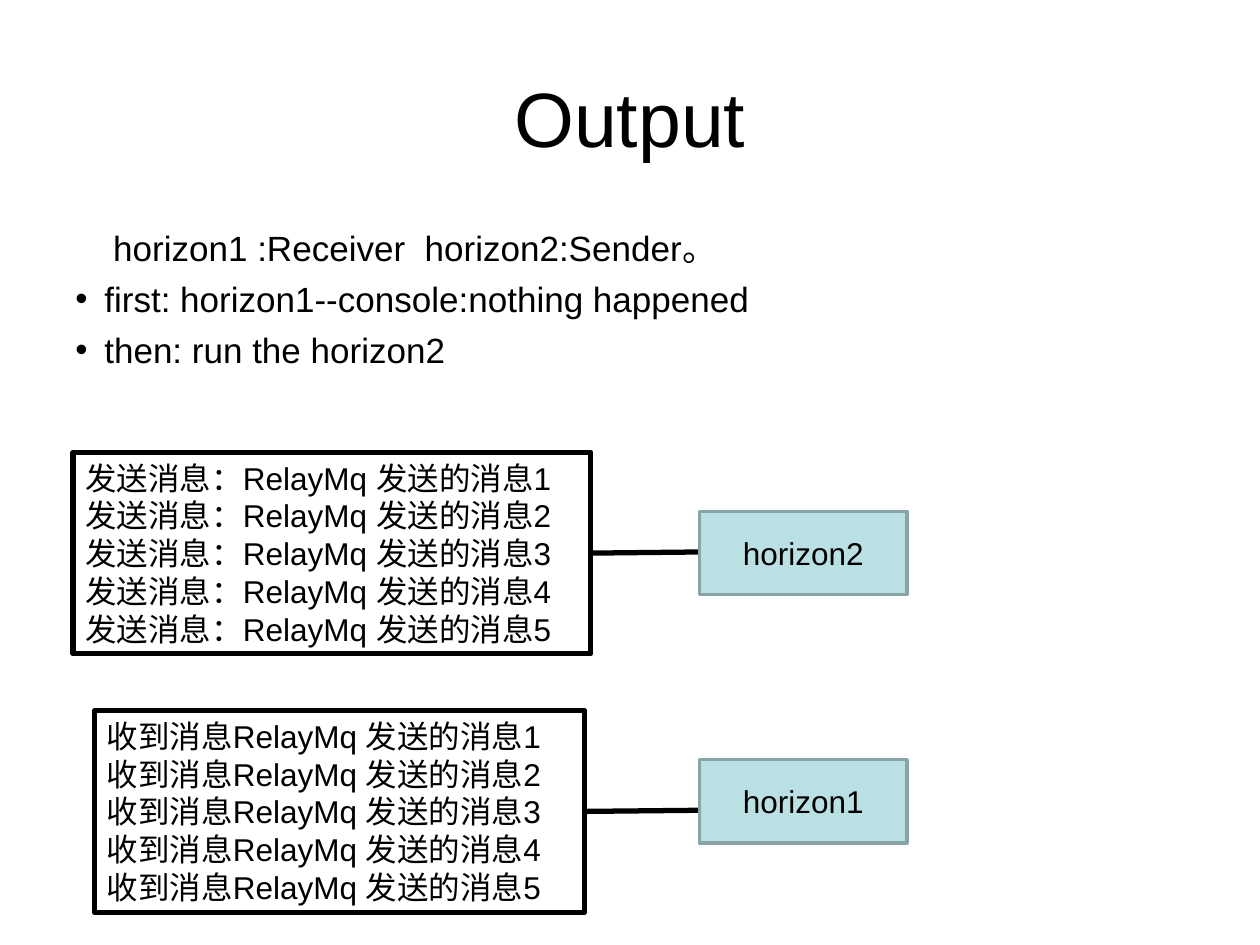
from pptx import Presentation
from pptx.dml.color import RGBColor as Rgb
from pptx.enum.shapes import MSO_CONNECTOR as Conn, MSO_SHAPE as Kind
from pptx.enum.text import MSO_ANCHOR as Anchor, PP_ALIGN as Align
from pptx.oxml.ns import qn
from pptx.util import Inches, Pt
from lxml.etree import SubElement as Sub

HUES = {"ink": "000000", "fill": "BBE0E3", "edge": "89A4A7"}


def hue(name):
    return Rgb.from_string(HUES[name])


def put(item, values):
    for key, value in values.items():
        setattr(item, key, value)


def write(frame, lines, size, align=Align.LEFT, space=0):
    for i, line in enumerate(lines):
        para = frame.paragraphs[0] if i == 0 else frame.add_paragraph()
        put(para, {"alignment": align, "space_before": Pt(space)})
        run = para.add_run()
        run.text = line
        put(run.font, {"name": "Arial", "size": Pt(size)})
        run.font.color.rgb = hue("ink")


def indent(para, left, first, mark=None):
    props = para._p.get_or_add_pPr()
    props.set("marL", str(Inches(left)))
    props.set("indent", str(Inches(first)))
    if mark:
        Sub(props, qn("a:buFont")).set("typeface", "Arial")
        Sub(props, qn("a:buChar")).set("char", mark)


def title(slide, box, text):
    frame = slide.shapes.add_textbox(*map(Inches, box)).text_frame
    put(frame, {"word_wrap": True, "vertical_anchor": Anchor.MIDDLE})
    write(frame, [text], 44, Align.CENTER)


def steps(slide, box, lead, items):
    frame = slide.shapes.add_textbox(*map(Inches, box)).text_frame
    frame.word_wrap = True
    write(frame, [lead, *items], 20, space=5)
    head, *rest = frame.paragraphs
    indent(head, 0.3, 0)
    for para in rest:
        indent(para, 0.23, -0.23, "•")


def panel(slide, box, lines, edge, width, size, fill=None,
          align=Align.LEFT, anchor=Anchor.TOP, wrap=True):
    shape = slide.shapes.add_shape(Kind.RECTANGLE, *map(Inches, box))
    shape.shadow.inherit = False
    if fill:
        shape.fill.solid()
        shape.fill.fore_color.rgb = hue(fill)
    else:
        shape.fill.background()
    shape.line.color.rgb = hue(edge)
    shape.line.width = Pt(width)
    put(shape.text_frame, {"word_wrap": wrap, "vertical_anchor": anchor})
    write(shape.text_frame, lines, size, align)
    return shape


def link(slide, start, end):
    x, y = map(Inches, end)
    line = slide.shapes.add_connector(Conn.STRAIGHT, x, y, x, y)
    line.begin_connect(start, 3)
    line.line.color.rgb = hue("ink")
    line.line.width = Pt(3)
    Sub(line._element.spPr, qn("a:effectLst"))


def console(slide, box, prefix, wrap, label, top):
    left, high, wide, tall = box
    lines = [f"{prefix}RelayMq 发送的消息{n}" for n in range(1, 6)]
    log = panel(slide, box, lines, "ink", 3, 18, wrap=wrap)
    link(slide, log, (5.63, high + tall / 2 - 0.01))
    panel(slide, (5.55, top, 1.65, 0.66), [label], "edge", 2, 18, "fill",
          Align.CENTER, Anchor.MIDDLE)


def main():
    deck = Presentation()
    put(deck, {"slide_width": Inches(10), "slide_height": Inches(7.5)})
    slide = deck.slides.add_slide(deck.slide_layouts[6])
    title(slide, (0.5, 0.3, 9, 1.25), "Output")
    steps(slide, (0.5, 1.75, 6.79, 1.94),
          "horizon1 :Receiver  horizon2:Sender。",
          ["first: horizon1--console:nothing happened",
           "then: run the horizon2"])
    console(slide, (0.58, 3.59, 4.11, 1.6), "发送消息：", False,
            "horizon2", 4.06)
    console(slide, (0.75, 5.64, 3.89, 1.6), "收到消息", True,
            "horizon1", 6.03)
    deck.save("out.pptx")


if __name__ == "__main__":
    main()
